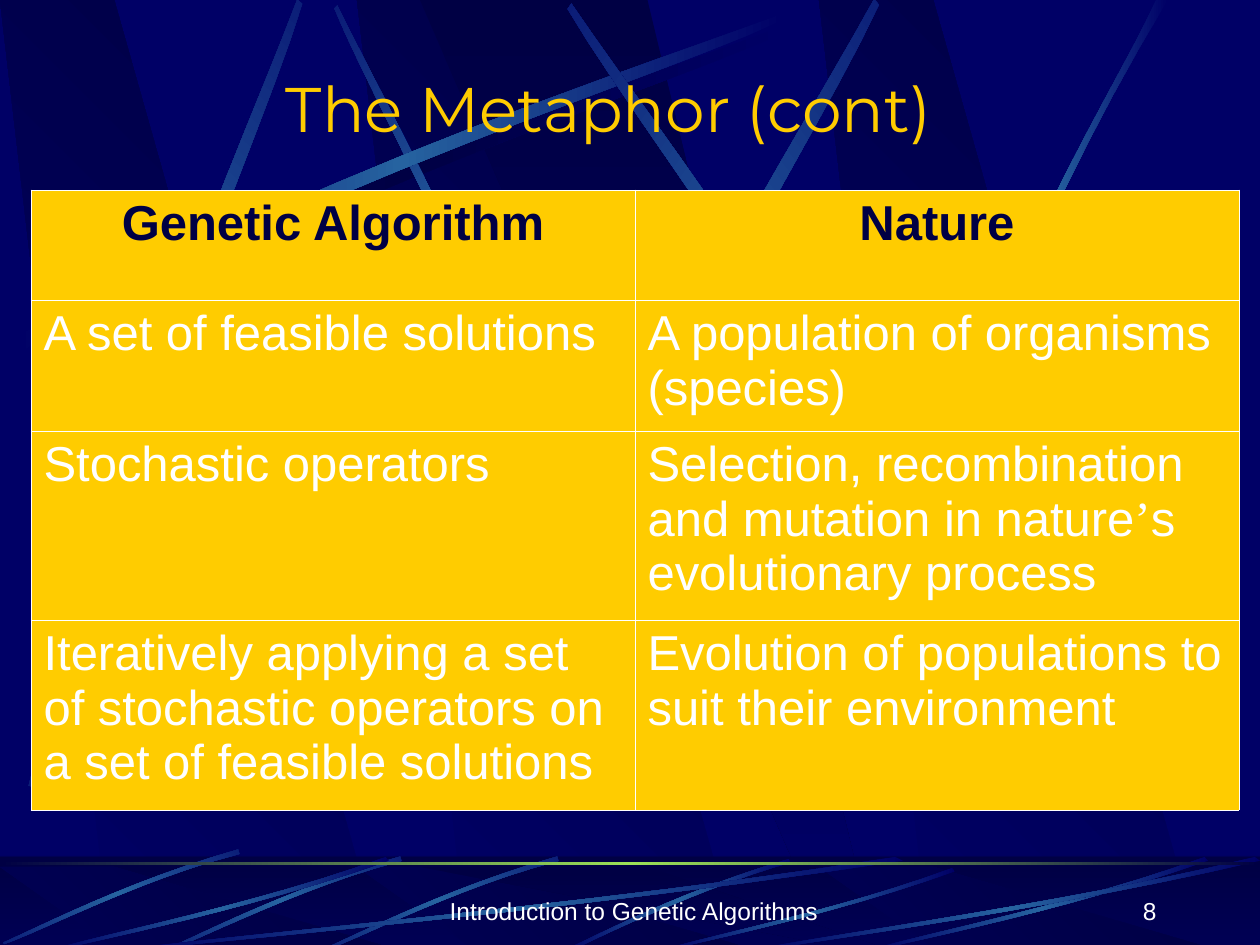
import copy
import math

import pptx
import pptx.dml.color
import pptx.enum.shapes
import pptx.enum.text
import pptx.oxml
import pptx.oxml.ns
import pptx.util

RGB = pptx.dml.color.RGBColor
BLUE = RGB(0x00, 0x00, 0x66)
NAVY = RGB(0x00, 0x00, 0x44)
STEEL = RGB(0x26, 0x63, 0xA0)
LIME = RGB(0x9C, 0xE1, 0x57)
GOLD = RGB(0xFF, 0xCC, 0x00)
WHITE = RGB(0xFF, 0xFF, 0xFF)

SCALE = 914400 // 126
WIDE, HIGH = 1260, 945
ALIGN = pptx.enum.text.PP_ALIGN
ANCHOR = pptx.enum.text.MSO_ANCHOR
qn = pptx.oxml.ns.qn

# Outlines within a unit box; a streak is two Bezier curves joined at the tip
SLAB = [(0.29, 1), (1, 1), (0.3, 0), (0, 0)]
BEAM = [(0, 0), (0.9, 1), (1, 1), (0.5, 0)]
SWEEP = [(0, 0.96), (0.43, 0.43), (0.83, 0.15), (1, 0),
         (1, 0.02), (0.84, 0.19), (0.39, 0.5), (0.01, 1)]
EDGE = [(0, 0.99), (0.4, 0.44), (0.79, 0.17), (0.95, 0),
        (1, 0), (0.52, 0.37), (0.16, 0.81), (0.03, 1)]
ARC = [(0.99, 0), (0.49, 0.37), (0.16, 0.82), (0, 0.99),
       (0.03, 1), (0.23, 0.75), (0.68, 0.25), (1, 0.04)]

ROWS = [
    (110, "Genetic Algorithm", "Nature"),
    (131, "A set of feasible solutions", "A population of organisms (species)"),
    (189, "Stochastic operators",
     "Selection, recombination and mutation in nature’s evolutionary process"),
    (190, "Iteratively applying a set of stochastic operators on a set of feasible solutions",
     "Evolution of populations to suit their environment"),
]


def px(num):
    return pptx.util.Emu(round(num * SCALE))


def shade(shape, tones, angle=0):
    """Fill with evenly spaced gradient tones, and drop line and shadow."""
    shape.shadow.inherit = False
    shape.line.fill.background()
    fill = shape.fill
    fill.gradient()
    fill.gradient_angle = angle
    stops = shape._element.spPr.find(".//" + qn("a:gsLst"))
    while len(stops) < len(tones):
        stops.append(copy.deepcopy(stops[-1]))
    for num, (stop, tone) in enumerate(zip(fill.gradient_stops, tones)):
        stop.color.rgb = tone
        stop.position = num / (len(tones) - 1)


def curve(ends):
    """Sample one cubic Bezier curve."""
    steps = 12
    for num in range(steps + 1):
        t = num / steps
        parts = [math.comb(3, k) * t ** k * (1 - t) ** (3 - k) for k in range(4)]
        yield tuple(sum(w * p[axis] for w, p in zip(parts, ends)) for axis in (0, 1))


def shard(slide, unit, box, tones, angle=0, turn=0, flip=False):
    """Draw a unit outline stretched to a box."""
    left, top, wide, high = box
    spots = [(px(left + wide * (1 - x if flip else x)), px(top + high * y))
             for x, y in unit]
    pen = slide.shapes.build_freeform(*spots[0], scale=1.0)
    pen.add_line_segments(spots[1:], close=True)
    shape = pen.convert_to_shape()
    shape.rotation = turn
    shade(shape, tones, angle)


def streak(slide, unit, box, turn=0, flip=False, core=STEEL):
    line = [*curve(unit[:4]), *curve(unit[4:])]
    shard(slide, line, box, (BLUE, core, BLUE), 0, turn, flip)


def bar(slide, top, high):
    kind = pptx.enum.shapes.MSO_SHAPE.RECTANGLE
    return slide.shapes.add_shape(kind, 0, px(top), px(WIDE), px(high))


def slabs(slide, top, high):
    for left in (357, 0, 819):
        shard(slide, SLAB, (left, top, 381, high), (BLUE, NAVY), 45)
    shard(slide, BEAM, (420, top, 455, high), (NAVY, BLUE), 270)


def style(para, size, color, font="Arial", bold=False):
    for run in para.runs:
        run.font.size = pptx.util.Pt(size)
        run.font.name = "Times New Roman" if run.text == "’" else font
        run.font.bold = bold
        run.font.color.rgb = color


def label(slide, text, box, size, color, align, anchor, font="Arial"):
    frame = slide.shapes.add_textbox(*map(px, box)).text_frame
    frame.word_wrap = True
    frame.vertical_anchor = anchor
    frame.text = text
    para = frame.paragraphs[0]
    para.alignment = align
    style(para, size, color, font)


def border(cell):
    props = cell._tc.get_or_add_tcPr()
    for spot, side in enumerate(("lnL", "lnR", "lnT", "lnB")):
        props.insert(spot, pptx.oxml.parse_xml(
            f'<a:{side} {pptx.oxml.ns.nsdecls("a")} w="5715"><a:solidFill>'
            f'<a:srgbClr val="{WHITE}"/></a:solidFill></a:{side}>'))


def grid(slide):
    high = sum(row[0] for row in ROWS)
    table = slide.shapes.add_table(
        len(ROWS), 2, px(31), px(190), px(1208), px(high)).table
    table.first_row = table.horz_banding = False
    for num, (tall, *texts) in enumerate(ROWS):
        table.rows[num].height = px(tall)
        head = num == 0
        for col, text in enumerate(texts):
            cell = table.cell(num, col)
            cell.fill.solid()
            cell.fill.fore_color.rgb = GOLD
            border(cell)
            para = cell.text_frame.paragraphs[0]
            for part in filter(None, text.partition("’")):
                para.add_run().text = part
            para.space_before = pptx.util.Pt(7)
            para.alignment = ALIGN.CENTER if head else ALIGN.LEFT
            style(para, 28, NAVY if head else WHITE, bold=head)


def scene(slide):
    # Upper backdrop
    slabs(slide, 0, HIGH)
    streak(slide, SWEEP, (25, 23, 766, 336), core=NAVY)
    for box, turn, flip in (
            ((178, 170, 557, 220), 45, True),
            ((18, 13, 766, 336), 0, False),
            ((-215, 229, 766, 336), 311.7, False),
            ((291, 202, 786, 379), 321.6, False),
            ((407, 192, 766, 336), 34.8, True)):
        streak(slide, SWEEP, box, turn, flip)
    streak(slide, EDGE, (930, 0, 238, 500))

    # Footer band
    shade(bar(slide, 857, 88), (NAVY, BLUE), 270)
    slabs(slide, 867, 78)
    veil = bar(slide, 856, 89)
    veil.shadow.inherit = False
    veil.line.fill.background()
    veil.fill.solid()
    veil.fill.fore_color.rgb = NAVY
    tone = veil._element.spPr.find(".//" + qn("a:srgbClr"))
    tone.append(pptx.oxml.parse_xml(
        f'<a:alpha {pptx.oxml.ns.nsdecls("a")} val="50000"/>'))
    streak(slide, ARC, (564, 859, 227, 92))
    for left, top in ((325, 852), (168, 852), (6, 845)):
        streak(slide, SWEEP, (left, top, 232, 105), 314.9, True)
    for left, top, wide in ((126, 857, 777), (53, 857, 336), (664, 868, 291),
                            (872, 857, 336), (756, 857, 504)):
        streak(slide, SWEEP, (left, top, wide, 951 - top), 180)
    shade(bar(slide, 862, 3), (NAVY, LIME, NAVY))


def main():
    deck = pptx.Presentation()
    deck.slide_width, deck.slide_height = px(WIDE), px(HIGH)
    slide = deck.slides.add_slide(deck.slide_layouts[6])
    slide.background.fill.solid()
    slide.background.fill.fore_color.rgb = BLUE
    scene(slide)

    # Footer, title and table
    label(slide, "Introduction to Genetic Algorithms", (434, 869, 400, 63),
          14, WHITE, ALIGN.CENTER, ANCHOR.BOTTOM)
    label(slide, "8", (907, 869, 262, 63), 14, WHITE, ALIGN.RIGHT, ANCHOR.BOTTOM)
    label(slide, "The Metaphor (cont)", (73, 63, 1071, 88),
          36, GOLD, ALIGN.CENTER, ANCHOR.MIDDLE, "Montserrat")
    grid(slide)
    deck.save("out.pptx")


if __name__ == "__main__":
    main()
